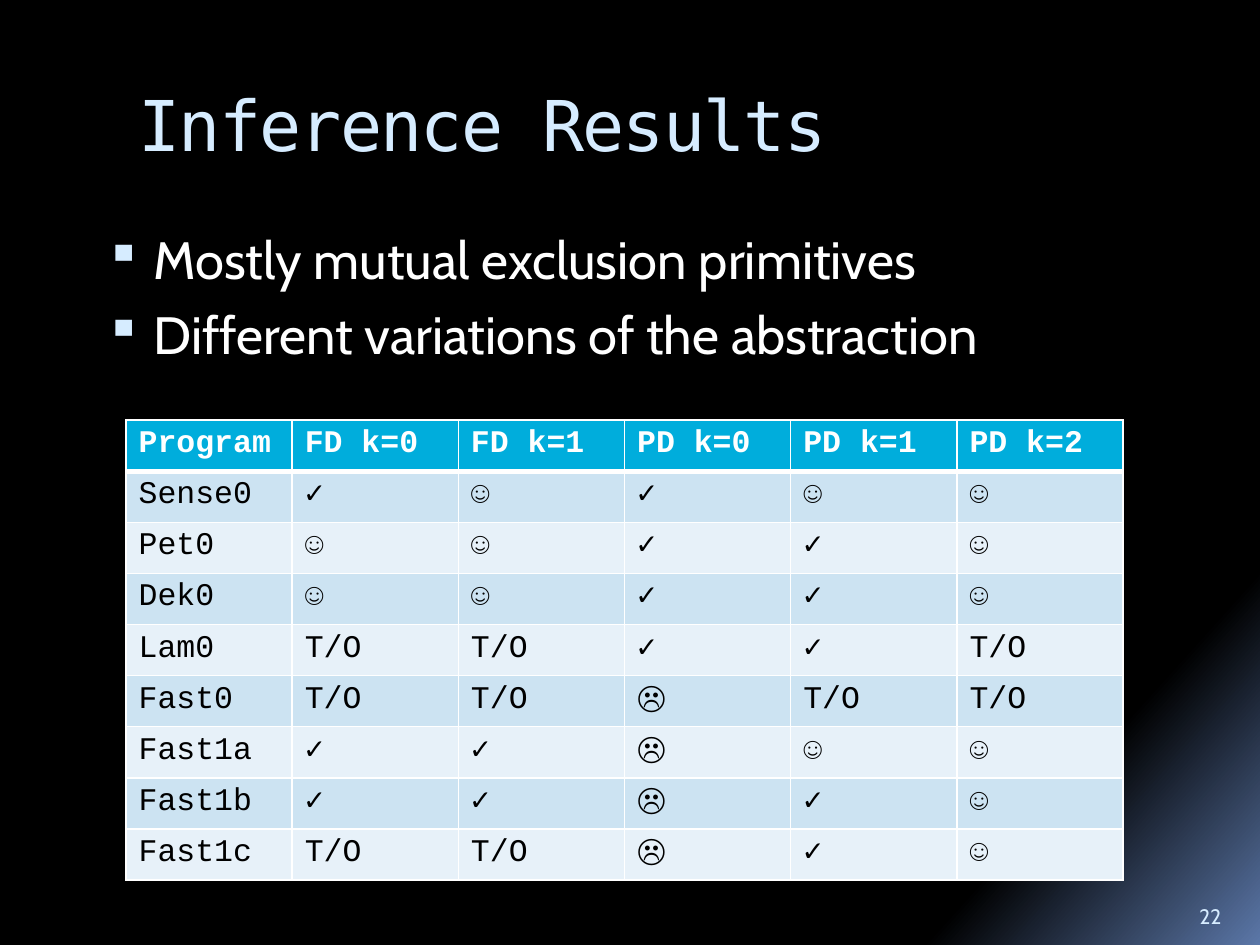
"""Build the inference results slide: title, two bullets and a results table."""
from lxml.etree import SubElement
from pptx import Presentation
from pptx.dml.color import RGBColor
from pptx.enum.text import MSO_ANCHOR as Anchor
from pptx.oxml import parse_xml
from pptx.oxml.ns import nsdecls, qn
from pptx.util import Cm, Pt

TITLE = "Inference Results"
BULLETS = ["Mostly mutual exclusion primitives", "Different variations of the abstraction"]
PAGE_NUMBER = "22"
RESULTS = [
    ["Program", "FD k=0", "FD k=1", "PD k=0", "PD k=1", "PD k=2"],
    ["Sense0", "✓", "☺", "✓", "☺", "☺"],
    ["Pet0", "☺", "☺", "✓", "✓", "☺"],
    ["Dek0", "☺", "☺", "✓", "✓", "☺"],
    ["Lam0", "T/O", "T/O", "✓", "✓", "T/O"],
    ["Fast0", "T/O", "T/O", "☹", "T/O", "T/O"],
    ["Fast1a", "✓", "✓", "☹", "☺", "☺"],
    ["Fast1b", "✓", "✓", "☹", "✓", "☺"],
    ["Fast1c", "T/O", "T/O", "☹", "✓", "☺"],
]

THEME = {
    "title": {"name": "DejaVu Sans Mono", "size": Pt(40), "color": "D6ECFF"},
    "body": {"name": "Cabin", "size": Pt(30), "color": "FFFFFF"},
    "page": {"name": "Cabin", "size": Pt(12), "color": "D6ECFF"},
    "header": {"name": "Courier New", "size": Pt(18), "color": "FFFFFF", "bold": True},
    "cell": {"name": "Courier New", "size": Pt(18), "color": "000000", "bold": False},
    "header_fill": "00ADDC",
    "band_fills": ["CCE3F2", "E7F1F9"],
    "border": "FFFFFF",
    "bullet": "D6ECFF",
    "background": [(0, "000000"), (65, "000000"), (84, "000000"), (100, "5B77A8")],
    "background_angle": 42,
}
COLUMN_WIDTH, ROW_HEIGHT = Cm(3.35), Cm(1.03)


def apply_format(target, formats):
    for name, value in formats.items():
        if name == "color":
            target.color.rgb = RGBColor.from_string(value)
        else:
            setattr(target, name, value)


def paint_background(slide):
    stops = "".join(
        f'<a:gs pos="{position * 1000}"><a:srgbClr val="{color}"/></a:gs>'
        for position, color in THEME["background"])
    background = parse_xml(
        f'<p:bg {nsdecls("p", "a")}><p:bgPr><a:gradFill rotWithShape="1"><a:gsLst>{stops}</a:gsLst>'
        f'<a:lin ang="{THEME["background_angle"] * 60000}" scaled="0"/></a:gradFill>'
        '<a:effectLst/></p:bgPr></p:bg>')
    slide.element.cSld.insert(0, background)


def add_text(slide, box, lines, style, **frame_formats):
    frame = slide.shapes.add_textbox(*map(Cm, box)).text_frame
    apply_format(frame, {"word_wrap": True, **frame_formats})
    frame.text = "\n".join(lines)
    for paragraph in frame.paragraphs:
        for run in paragraph.runs:
            apply_format(run.font, THEME[style])
    return frame.paragraphs


def add_bullet(paragraph):
    properties = paragraph._p.get_or_add_pPr()
    properties.set("marL", str(Cm(1.14)))
    properties.set("indent", str(-Cm(0.97)))
    color = SubElement(properties, qn("a:buClr"))
    SubElement(color, qn("a:srgbClr"), val=THEME["bullet"])
    SubElement(properties, qn("a:buSzPct"), val="95000")
    SubElement(properties, qn("a:buChar"), char="▪")


def add_borders(cell, widths):
    properties = cell._tc.get_or_add_tcPr()
    for side, width in widths.items():
        line = SubElement(properties, qn(f"a:ln{side}"), w=str(Pt(width)))
        fill = SubElement(line, qn("a:solidFill"))
        SubElement(fill, qn("a:srgbClr"), val=THEME["border"])


def add_results(slide, left, top):
    rows, columns = len(RESULTS), len(RESULTS[0])
    table = slide.shapes.add_table(
        rows, columns, left, top, COLUMN_WIDTH * columns, ROW_HEIGHT * rows).table
    for row in table.rows:
        row.height = ROW_HEIGHT
    for index, values in enumerate(RESULTS):
        is_header = index == 0
        fill = THEME["header_fill"] if is_header else THEME["band_fills"][(index - 1) % 2]
        widths = {"L": 1, "R": 1, "T": 3 if index == 1 else 1, "B": 3 if is_header else 1}
        for column, value in enumerate(values):
            cell = table.cell(index, column)
            cell.text = value
            apply_format(cell.text_frame.paragraphs[0].runs[0].font,
                         THEME["header" if is_header else "cell"])
            add_borders(cell, widths)
            cell.fill.solid()
            cell.fill.fore_color.rgb = RGBColor.from_string(fill)


def main():
    presentation = Presentation()
    apply_format(presentation, {"slide_width": Cm(25.4), "slide_height": Cm(19.05)})
    slide = presentation.slides.add_slide(presentation.slide_layouts[6])
    paint_background(slide)

    title = add_text(slide, (2.54, 1.42, 21.59, 2.54), [TITLE], "title", margin_top=Cm(0.23))
    title[0].runs[0].font._element.set("spc", "-100")
    add_text(slide, (23.93, 17.83, 1.27, 1.02), [PAGE_NUMBER], "page",
             vertical_anchor=Anchor.BOTTOM)
    bullets = add_text(slide, (1.7, 4.45, 22.66, 12.5), BULLETS, "body")
    for paragraph in bullets:
        add_bullet(paragraph)
    for paragraph in bullets[1:]:
        paragraph.space_before = Pt(7)
    add_results(slide, Cm(2.54), Cm(8.47))
    presentation.save("out.pptx")


if __name__ == "__main__":
    main()
